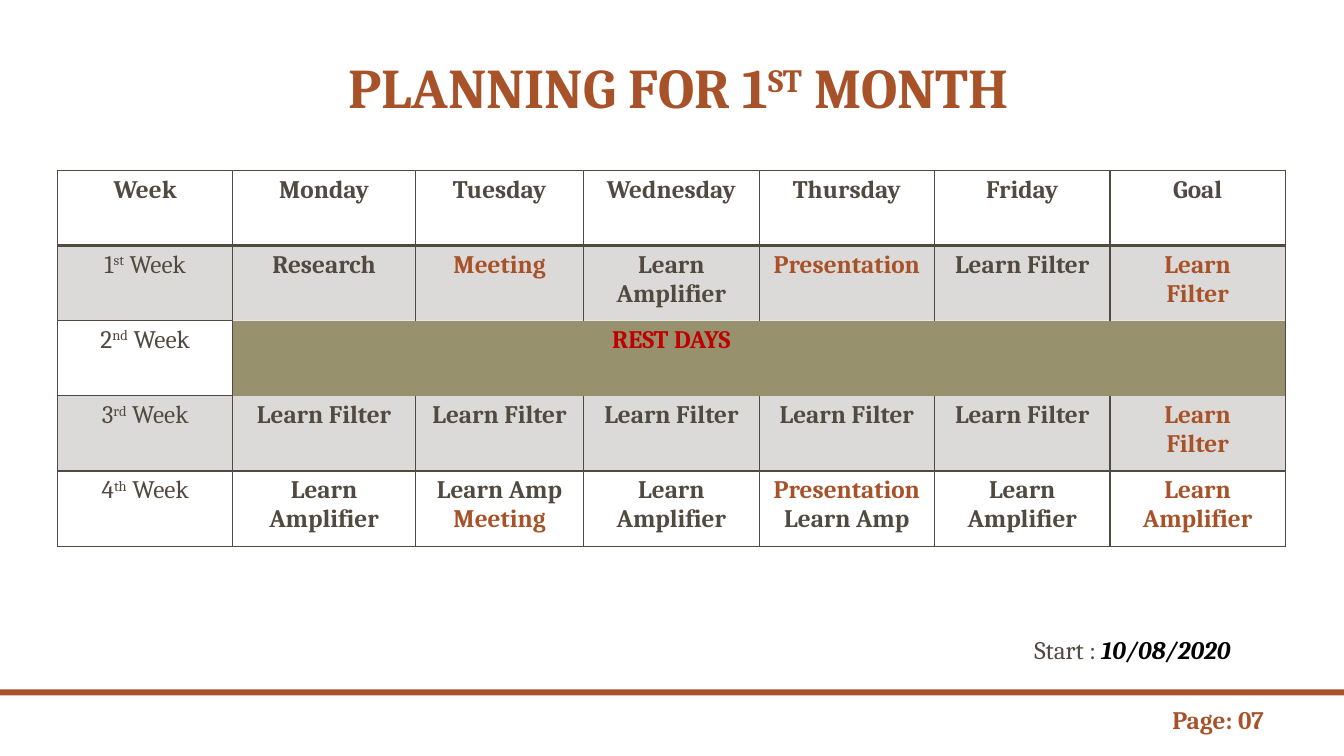
from lxml import etree
from pptx import Presentation
from pptx.dml.color import RGBColor
from pptx.enum import shapes, text
from pptx.oxml import ns
from pptx.util import Inches, Pt

BROWN, RUST, OLIVE, RED = "514A40", "A85229", "98916E", "C00000"
REST_ROW, REST_COLUMN = 2, 3
DAY_WIDTHS = [1.74, 1.81, 1.67, 1.74, 1.74, 1.74, 1.74]
HEADINGS = ["Week", "Monday", "Tuesday", "Wednesday", "Thursday", "Friday", "Goal"]
ORDINALS = ["st", "nd", "rd", "th"]
ACCENTED = {"Meeting", "Presentation"}
PLANS = [
    ["Research", "Meeting", "Learn Amplifier", "Presentation", "Learn Filter", "Learn\nFilter"],
    [],
    ["Learn Filter"] * 5 + ["Learn\nFilter"],
    ["Learn Amplifier", "Learn Amp\nMeeting", "Learn Amplifier",
     "Presentation\nLearn Amp", "Learn Amplifier", "Learn\nAmplifier"],
]


def color(value):
    return RGBColor.from_string(value)


def write(paragraph, words, size=18, ink=BROWN, bold=False, italic=False, raised=False):
    run = paragraph.add_run()
    run.text = words
    font = run.font
    font.name, font.size, font.bold, font.italic = "Cambria", Pt(size), bold, italic
    font.color.rgb = color(ink)
    if raised:
        run._r.get_or_add_rPr().set("baseline", "30000")


def add_text(slide, left, top, width, height, anchor=text.MSO_ANCHOR.TOP):
    frame = slide.shapes.add_textbox(
        Inches(left), Inches(top), Inches(width), Inches(height)).text_frame
    frame.word_wrap = True
    frame.vertical_anchor = anchor
    return frame.paragraphs[0]


def add_title(slide):
    title = add_text(slide, 1.42, 0, 10.5, 1.25, text.MSO_ANCHOR.BOTTOM)
    title.alignment = text.PP_ALIGN.CENTER
    title.line_spacing = 0.9
    for words, raised in [(" PLANNING FOR 1", False), ("ST", True), (" MONTH", False)]:
        write(title, words, size=40, ink=RUST, bold=True, raised=raised)


def add_footer_rule(slide):
    rule = slide.shapes.add_shape(
        shapes.MSO_SHAPE.RECTANGLE, 0, Inches(6.84), Inches(13.33), Inches(0.06))
    rule.shadow.inherit = False
    rule.fill.solid()
    rule.fill.fore_color.rgb = color(RUST)
    rule.line.fill.background()


def set_border(cell, side, width):
    edge = etree.SubElement(cell._tc.get_or_add_tcPr(), ns.qn(f"a:ln{side}"), w=str(Pt(width)))
    if width:
        fill = etree.SubElement(edge, ns.qn("a:solidFill"))
        etree.SubElement(fill, ns.qn("a:srgbClr"), val=BROWN)
    else:
        etree.SubElement(edge, ns.qn("a:noFill"))


def set_borders(cell, row, column):
    widths = dict(L=1, R=1, T=1, B=1)
    if row == 0:
        widths["B"] = 2
    if row == 1:
        widths["T"] = 2
    if column:
        if row == REST_ROW:
            widths = dict(L=int(column == 1), R=int(column == len(HEADINGS) - 1), T=0, B=0)
        elif row == REST_ROW - 1:
            widths["B"] = 0
        elif row == REST_ROW + 1:
            widths["T"] = 0
    for side, width in widths.items():
        set_border(cell, side, width)


def set_fill(cell, row, column):
    if row == REST_ROW and column:
        cell.fill.solid()
        cell.fill.fore_color.rgb = color(OLIVE)
    elif row % 2:
        cell.fill.solid()
        cell.fill.fore_color.rgb = color(BROWN)
        shade = cell._tc.tcPr.find(".//" + ns.qn("a:solidFill") + "[last()]/" + ns.qn("a:srgbClr"))
        shade = cell._tc.tcPr.findall(ns.qn("a:solidFill"))[0][0]
        etree.SubElement(shade, ns.qn("a:alpha"), val="20000")
    else:
        cell.fill.background()


def write_cell(cell, row, column):
    frame = cell.text_frame
    first = frame.paragraphs[0]
    if row == 0:
        write(first, HEADINGS[column], bold=True)
    elif column == 0:
        write(first, str(row))
        write(first, ORDINALS[row - 1], raised=True)
        write(first, " Week")
    elif row == REST_ROW:
        if column == REST_COLUMN:
            write(first, "REST DAYS", ink=RED, bold=True)
    else:
        for index, task in enumerate(PLANS[row - 1][column - 1].split("\n")):
            paragraph = frame.add_paragraph() if index else first
            accented = task in ACCENTED or HEADINGS[column] == "Goal"
            write(paragraph, task, ink=RUST if accented else BROWN, bold=True)
    for paragraph in frame.paragraphs:
        paragraph.alignment = text.PP_ALIGN.CENTER


def add_schedule(slide):
    schedule = slide.shapes.add_table(
        len(PLANS) + 1, len(HEADINGS), Inches(0.57), Inches(1.69),
        Inches(sum(DAY_WIDTHS)), Inches(3.73)).table
    schedule.first_row = schedule.horz_banding = False
    for day, width in zip(schedule.columns, DAY_WIDTHS):
        day.width = Inches(width)
    for row, week in enumerate(schedule.rows):
        for column, cell in enumerate(week.cells):
            set_borders(cell, row, column)
            set_fill(cell, row, column)
            write_cell(cell, row, column)


def main():
    deck = Presentation()
    deck.slide_width, deck.slide_height = Inches(13.33), Inches(7.5)
    slide = deck.slides.add_slide(deck.slide_layouts[6])
    add_footer_rule(slide)
    add_title(slide)
    add_schedule(slide)
    start = add_text(slide, 10.16, 6.24, 2.38, 0.4)
    write(start, "Start : ")
    write(start, "10/08/2020", ink="000000", bold=True, italic=True)
    write(add_text(slide, 11.53, 6.94, 1.2, 0.4), "Page: 07", ink=RUST, bold=True)
    deck.save("out.pptx")


if __name__ == "__main__":
    main()
